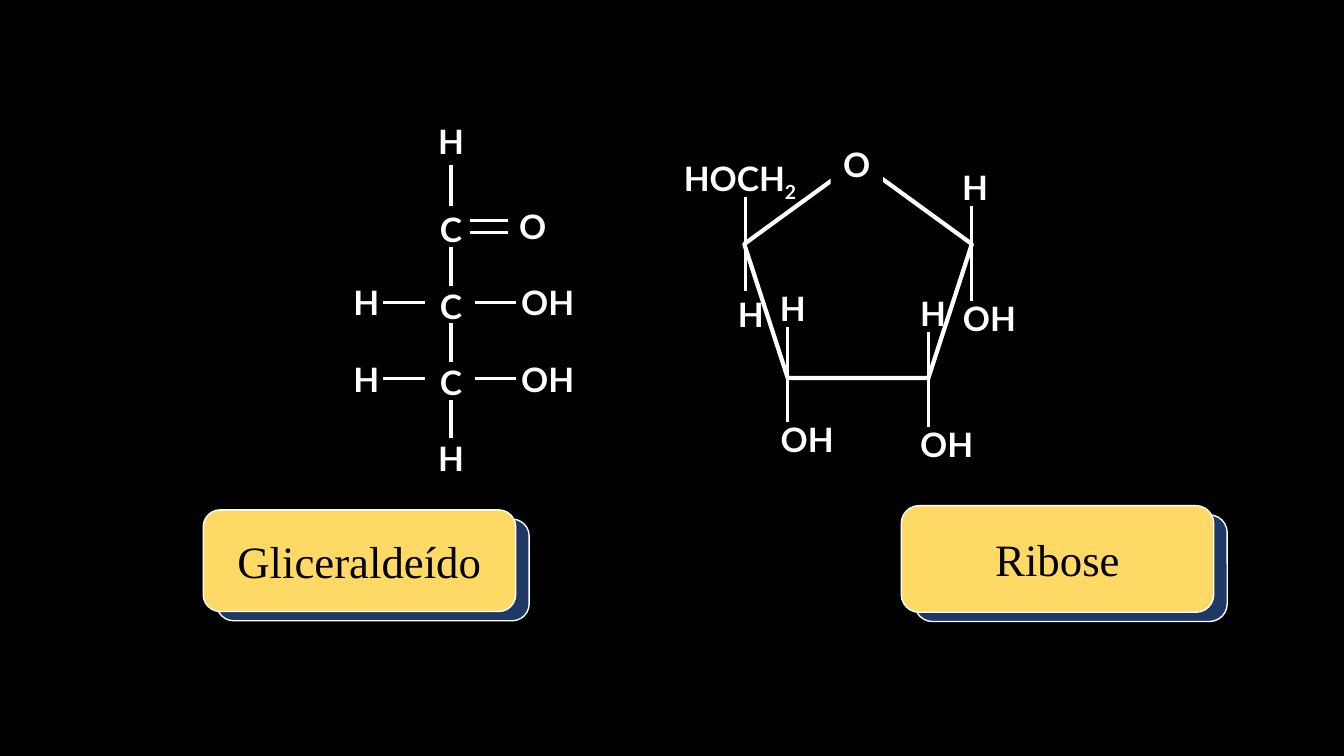
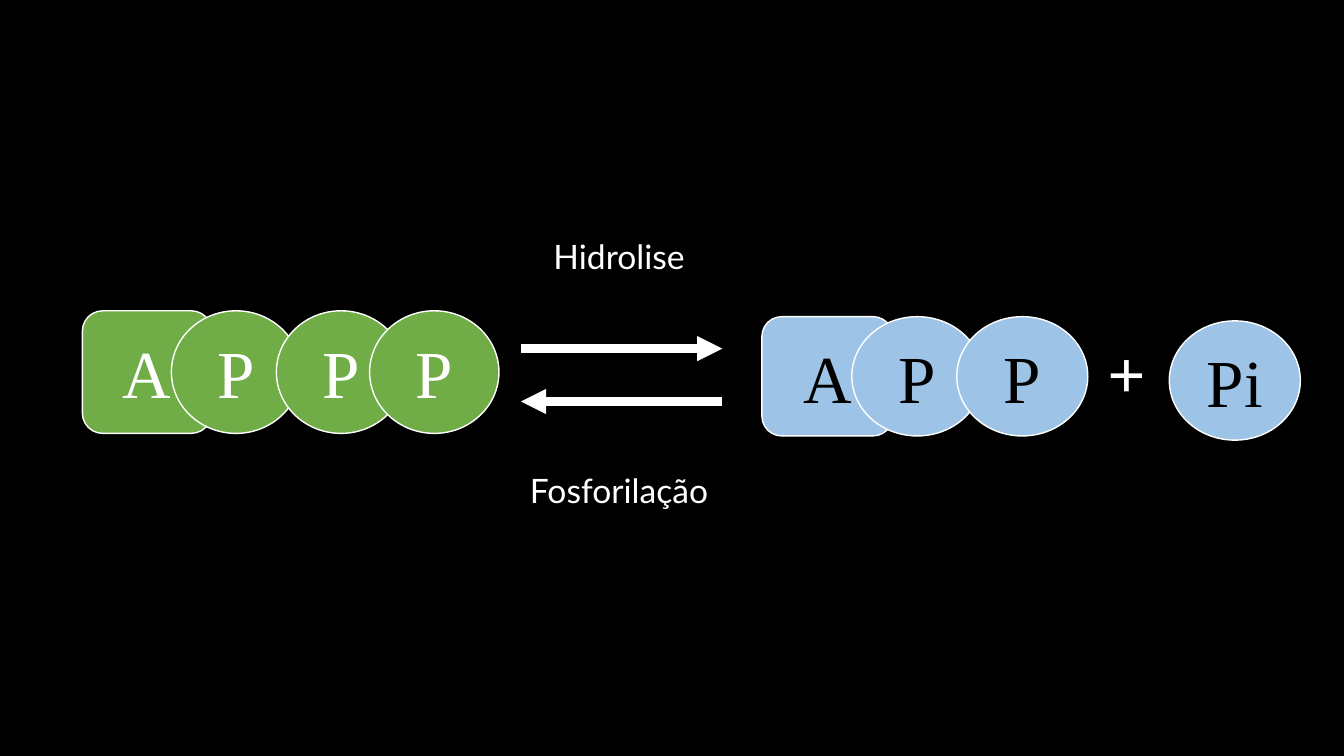
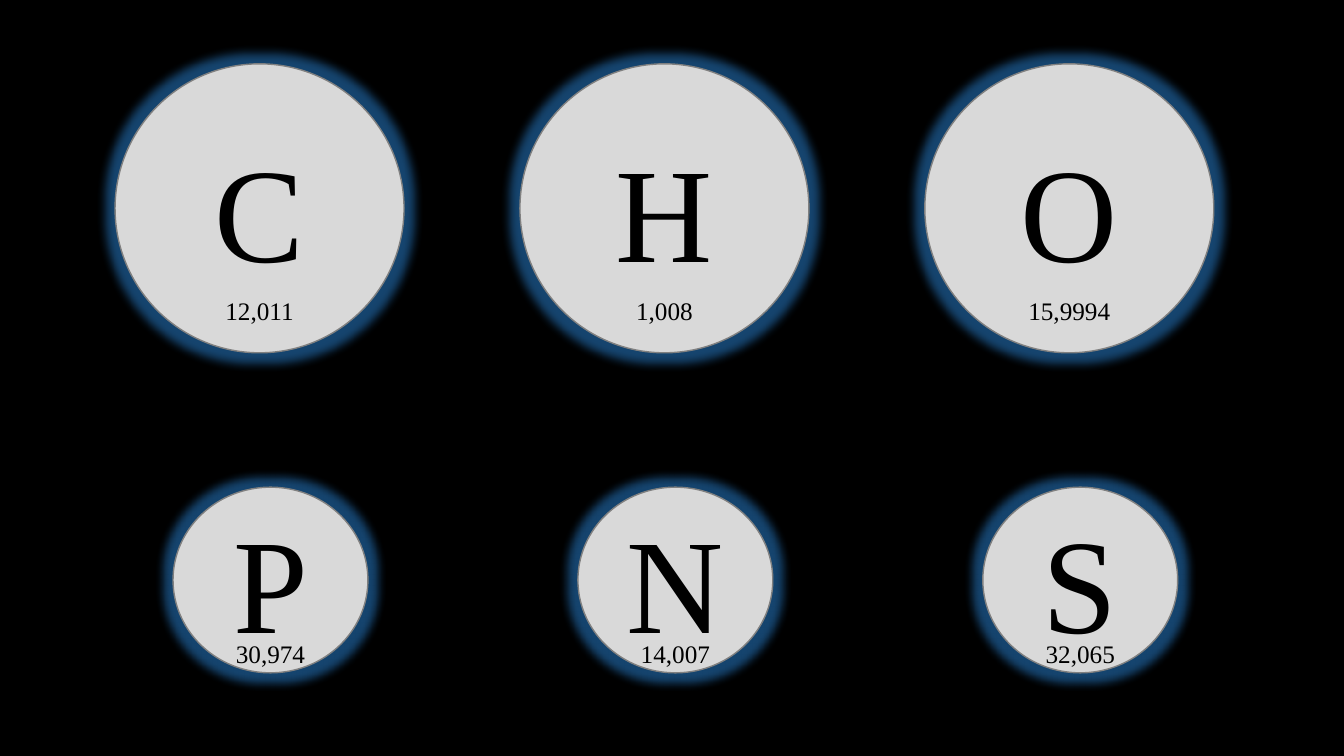
from dataclasses import dataclass

import lxml.etree
import pptx
import pptx.dml.color
import pptx.enum.shapes
import pptx.enum.text
import pptx.oxml.ns
import pptx.util

SLIDE_WIDTH, SLIDE_HEIGHT = 13.33, 7.5
COLUMNS, ROWS = 16, 9

BLACK, WHITE = "000000", "FFFFFF"
NAVY, YELLOW = "203864", "FFD966"
GREEN, SKY = "70AD47", "9DC3E6"
LIGHT_GRAY, GRAY, GLOW_BLUE = "D9D9D9", "808080", "2472B8"
SANS, SERIF = "Lato", "Times New Roman"

OVAL = pptx.enum.shapes.MSO_SHAPE.OVAL
ROUNDED = pptx.enum.shapes.MSO_SHAPE.ROUNDED_RECTANGLE
PENTAGON = pptx.enum.shapes.MSO_SHAPE.REGULAR_PENTAGON


@dataclass(frozen=True)
class TextStyle:
    font: str
    size: int
    color: str
    bold: bool = False


@dataclass(frozen=True)
class Box:
    """Place on the grid, in columns and rows."""
    left: float
    top: float
    width: float
    height: float


@dataclass(frozen=True)
class Substituent:
    """Vertical bond through a ring corner, with a group at each end."""
    x: float
    top: float
    upper: str
    upper_x: float
    upper_width: float
    lower: str
    lower_x: float
    lower_width: float
    lower_gap: float = 0.21


@dataclass(frozen=True)
class Plate:
    text: str
    box: Box


@dataclass(frozen=True)
class Chain:
    """Molecule drawn as overlapping beads, the first one square."""
    letters: tuple[str, ...]
    lefts: tuple[float, ...]
    top: float
    width: float
    height: float
    fill: str
    text_color: str


@dataclass(frozen=True)
class ElementRow:
    first: Box
    caption_y: float
    caption_width: float
    elements: tuple[tuple[str, str], ...]


ATOM = TextStyle(SANS, 24, WHITE, bold=True)
PROCESS = TextStyle(SANS, 24, WHITE)
PLUS = TextStyle(SERIF, 48, WHITE, bold=True)
PLATE_TEXT = TextStyle(SERIF, 32, BLACK)
SYMBOL = TextStyle(SERIF, 96, BLACK)
MASS = TextStyle(SERIF, 18, BLACK)

ATOM_WIDTH, HYDROXYL_WIDTH, NARROW_WIDTH = 0.66, 0.88, 0.47
BOND_WIDTH, RING_BOND = 2.25, 1.13
ELEMENT_PITCH = 4.82

SUBSTITUENTS = (
    Substituent(11.57, 2.45, "H", 11.57, NARROW_WIDTH, "OH", 11.78, HYDROXYL_WIDTH),
    Substituent(11.05, 3.95, "H", 11.07, NARROW_WIDTH, "OH", 11.27, HYDROXYL_WIDTH),
    Substituent(9.38, 3.89, "H", 9.4, NARROW_WIDTH, "OH", 9.61, HYDROXYL_WIDTH),
    Substituent(8.87, 2.34, "HOCH_2", 8.81, 1.79, "H", 8.9, NARROW_WIDTH, 0.27),
)
PLATES = (
    Plate("Gliceraldeído", Box(2.42, 6.07, 3.72, 1.21)),
    Plate("Ribose", Box(10.73, 6.02, 3.72, 1.27)),
)
CHAINS = (
    Chain(("A", "P", "P", "P"), (0.98, 2.04, 3.29, 4.4), 3.7, 1.54, 1.46, GREEN, WHITE),
    Chain(("A", "P", "P"), (9.07, 10.14, 11.39), 3.77, 1.56, 1.42, SKY, BLACK),
)
ELEMENT_ROWS = (
    ElementRow(Box(1.37, 0.76, 3.44, 3.44), 3.7, 2.05,
               (("C", "12,011"), ("H", "1,008"), ("O", "15,9994"))),
    ElementRow(Box(2.06, 5.8, 2.32, 2.21), 7.78, 1.37,
               (("P", "30,974"), ("N", "14,007"), ("S", "32,065"))),
)


def rgb(color: str) -> pptx.dml.color.RGBColor:
    return pptx.dml.color.RGBColor.from_string(color)


def across(columns: float) -> int:
    return pptx.util.Inches(SLIDE_WIDTH * columns / COLUMNS)


def down(rows: float) -> int:
    return pptx.util.Inches(SLIDE_HEIGHT * rows / ROWS)


def place(box: Box) -> tuple[int, int, int, int]:
    return across(box.left), down(box.top), across(box.width), down(box.height)


def write(text_frame, text: str, style: TextStyle) -> None:
    """Write one centred line; what follows an underscore is a subscript."""
    paragraph = text_frame.paragraphs[0]
    paragraph.alignment = pptx.enum.text.PP_ALIGN.CENTER
    base, _, subscript = text.partition("_")
    paragraph.add_run().text = base
    if subscript:
        run = paragraph.add_run()
        run.text = subscript
        run.font._element.set("baseline", "-25000")
    for run in paragraph.runs:
        run.font.name = style.font
        run.font.size = pptx.util.Pt(style.size)
        run.font.bold = style.bold
        run.font.color.rgb = rgb(style.color)


def add_label(slide, x: float, y: float, width: float, text: str,
              style: TextStyle = ATOM, height: float = 0.6):
    """Add a text box centred on a grid point."""
    label = slide.shapes.add_textbox(
        *place(Box(x - width / 2, y - height / 2, width, height)))
    label.text_frame.word_wrap = True
    label.text_frame.auto_size = pptx.enum.text.MSO_AUTO_SIZE.SHAPE_TO_FIT_TEXT
    write(label.text_frame, text, style)
    return label


def add_line(slide, x1: float, y1: float, x2: float, y2: float,
             width: float = BOND_WIDTH, arrow: bool = False) -> None:
    line = slide.shapes.add_connector(
        pptx.enum.shapes.MSO_CONNECTOR.STRAIGHT,
        across(x1), down(y1), across(x2), down(y2))
    line.line.color.rgb = rgb(WHITE)
    line.line.width = pptx.util.Pt(width)
    if arrow:
        lxml.etree.SubElement(line.line._get_or_add_ln(),
                              pptx.oxml.ns.qn("a:tailEnd"), type="triangle")
    lxml.etree.SubElement(line._element.spPr, pptx.oxml.ns.qn("a:effectLst"))


def add_figure(slide, kind, box: Box, fill: str | None = None,
               outline: str = WHITE, weight: float = 1,
               text: str = "", style: TextStyle | None = None):
    figure = slide.shapes.add_shape(kind, *place(box))
    figure.shadow.inherit = False
    if fill:
        figure.fill.solid()
        figure.fill.fore_color.rgb = rgb(fill)
    else:
        figure.fill.background()
    figure.line.color.rgb = rgb(outline)
    figure.line.width = pptx.util.Pt(weight)
    if style:
        figure.text_frame.vertical_anchor = pptx.enum.text.MSO_ANCHOR.MIDDLE
        write(figure.text_frame, text, style)
    return figure


def add_glow(figure, color: str, radius: float, opacity: int) -> None:
    """Surround a figure with a glow; radius in points, opacity in percent."""
    qn = pptx.oxml.ns.qn
    effects = figure._element.spPr.find(qn("a:effectLst"))
    glow = lxml.etree.SubElement(effects, qn("a:glow"), rad=str(pptx.util.Pt(radius)))
    tint = lxml.etree.SubElement(glow, qn("a:srgbClr"), val=color)
    lxml.etree.SubElement(tint, qn("a:alpha"), val=str(opacity * 1000))


def draw_glyceraldehyde(slide) -> None:
    axis, first_carbon, step = 5.37, 2.73, 0.91
    for index in range(3):
        y = first_carbon + index * step
        add_label(slide, axis, y, ATOM_WIDTH, "C")
        add_line(slide, axis, y + 0.21, axis, y + 0.67)
        if index:
            arm = y - 0.04
            add_label(slide, 4.36, arm, ATOM_WIDTH, "H")
            add_label(slide, 6.52, arm, HYDROXYL_WIDTH, "OH")
            add_line(slide, 4.56, arm, 5.06, arm)
            add_line(slide, 5.65, arm, 6.14, arm)
    add_line(slide, axis, 1.96, axis, 2.45)
    for y in (1.68, 5.46):
        add_label(slide, axis, y, ATOM_WIDTH, "H")
    for y in (2.63, 2.77):
        add_line(slide, 5.59, y, 6.05, y)
    add_label(slide, 6.34, 2.69, ATOM_WIDTH, "O")


def draw_ribose(slide) -> None:
    add_figure(slide, PENTAGON, Box(8.86, 1.92, 2.71, 2.58), weight=3)
    oxygen = add_label(slide, 10.2, 1.96, 0.62, "O")
    oxygen.fill.solid()
    oxygen.fill.fore_color.rgb = rgb(BLACK)
    for item in SUBSTITUENTS:
        bottom = item.top + RING_BOND
        add_line(slide, item.x, item.top, item.x, bottom)
        add_label(slide, item.upper_x, item.top - 0.22, item.upper_width, item.upper)
        add_label(slide, item.lower_x, bottom + item.lower_gap,
                  item.lower_width, item.lower)


def draw_plate(slide, plate: Plate) -> None:
    box = plate.box
    behind = Box(box.left + 0.16, box.top + 0.11, box.width, box.height)
    add_figure(slide, ROUNDED, behind, NAVY)
    add_figure(slide, ROUNDED, box, YELLOW, text=plate.text, style=PLATE_TEXT)


def draw_chain(slide, chain: Chain) -> None:
    style = TextStyle(SERIF, 48, chain.text_color)
    for index, (letter, left) in enumerate(zip(chain.letters, chain.lefts)):
        add_figure(slide, OVAL if index else ROUNDED,
                   Box(left, chain.top, chain.width, chain.height),
                   chain.fill, text=letter, style=style)


def draw_element_row(slide, row: ElementRow) -> None:
    first = row.first
    for index, (symbol, mass) in enumerate(row.elements):
        left = first.left + index * ELEMENT_PITCH
        circle = add_figure(slide, OVAL, Box(left, first.top, first.width, first.height),
                            LIGHT_GRAY, GRAY, text=symbol, style=SYMBOL)
        add_glow(circle, GLOW_BLUE, radius=13, opacity=60)
        add_label(slide, left + first.width / 2, row.caption_y,
                  row.caption_width, mass, MASS, height=0.48)


def build_sugars(slide) -> None:
    draw_glyceraldehyde(slide)
    draw_ribose(slide)
    for plate in PLATES:
        draw_plate(slide, plate)


def build_phosphates(slide) -> None:
    left, right = 6.2, 8.6
    add_line(slide, left, 4.15, right, 4.15, width=6, arrow=True)
    add_line(slide, right, 4.78, left, 4.78, width=6, arrow=True)
    for text, y in (("Hidrolise", 3.05), ("Fosforilação", 5.84)):
        add_label(slide, 7.37, y, 3.37, text, PROCESS)
    for chain in CHAINS:
        draw_chain(slide, chain)
    add_figure(slide, OVAL, Box(13.92, 3.82, 1.56, 1.42), SKY,
               text="Pi", style=TextStyle(SERIF, 48, BLACK))
    add_label(slide, 13.41, 4.43, 1.31, "+", PLUS, height=1.09)


def build_elements(slide) -> None:
    for row in ELEMENT_ROWS:
        draw_element_row(slide, row)


def main() -> None:
    presentation = pptx.Presentation()
    presentation.slide_width = pptx.util.Inches(SLIDE_WIDTH)
    presentation.slide_height = pptx.util.Inches(SLIDE_HEIGHT)
    background = presentation.slide_master.background.fill
    background.solid()
    background.fore_color.rgb = rgb(BLACK)
    for build in (build_sugars, build_phosphates, build_elements):
        build(presentation.slides.add_slide(presentation.slide_layouts[6]))
    presentation.save("out.pptx")


if __name__ == "__main__":
    main()
